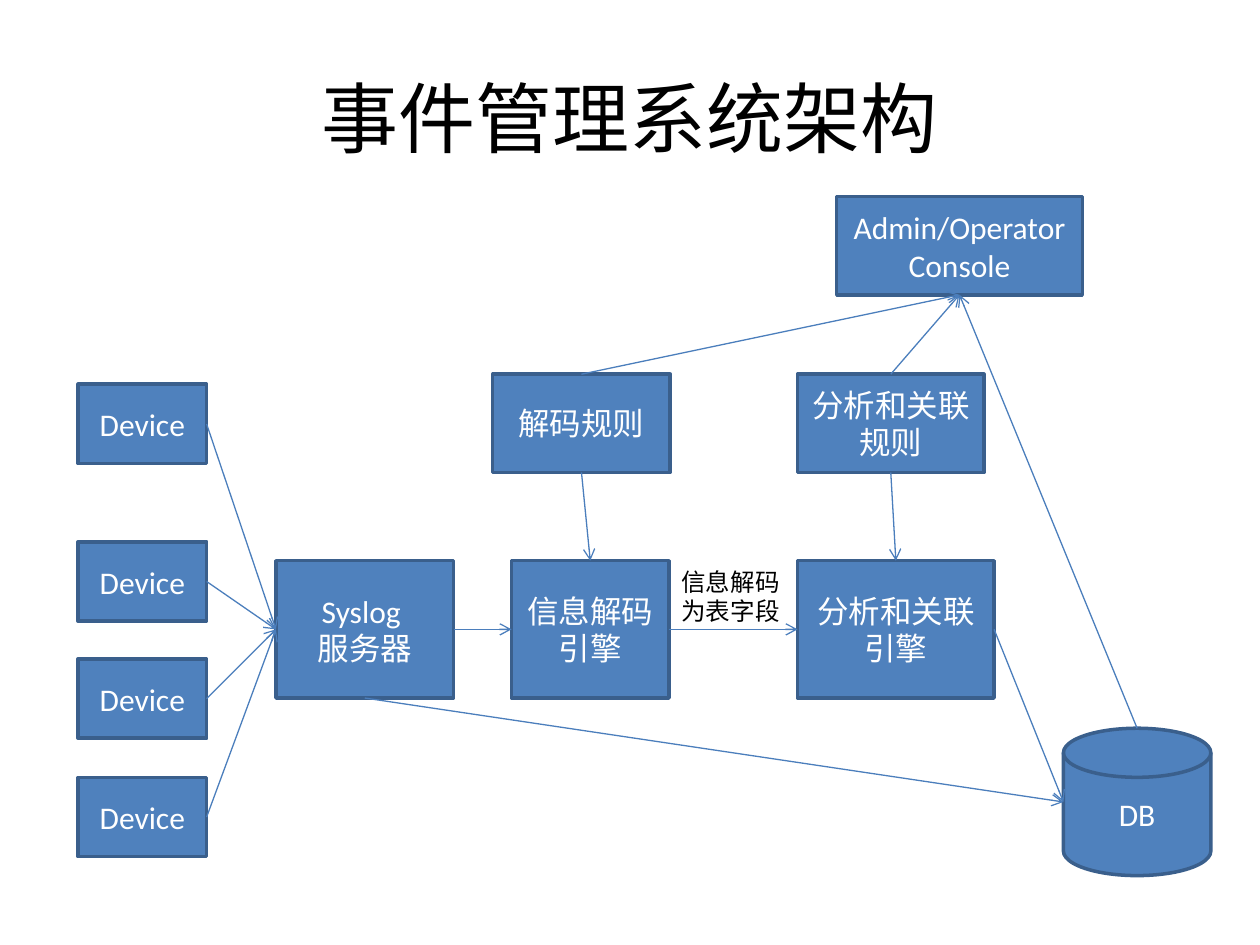
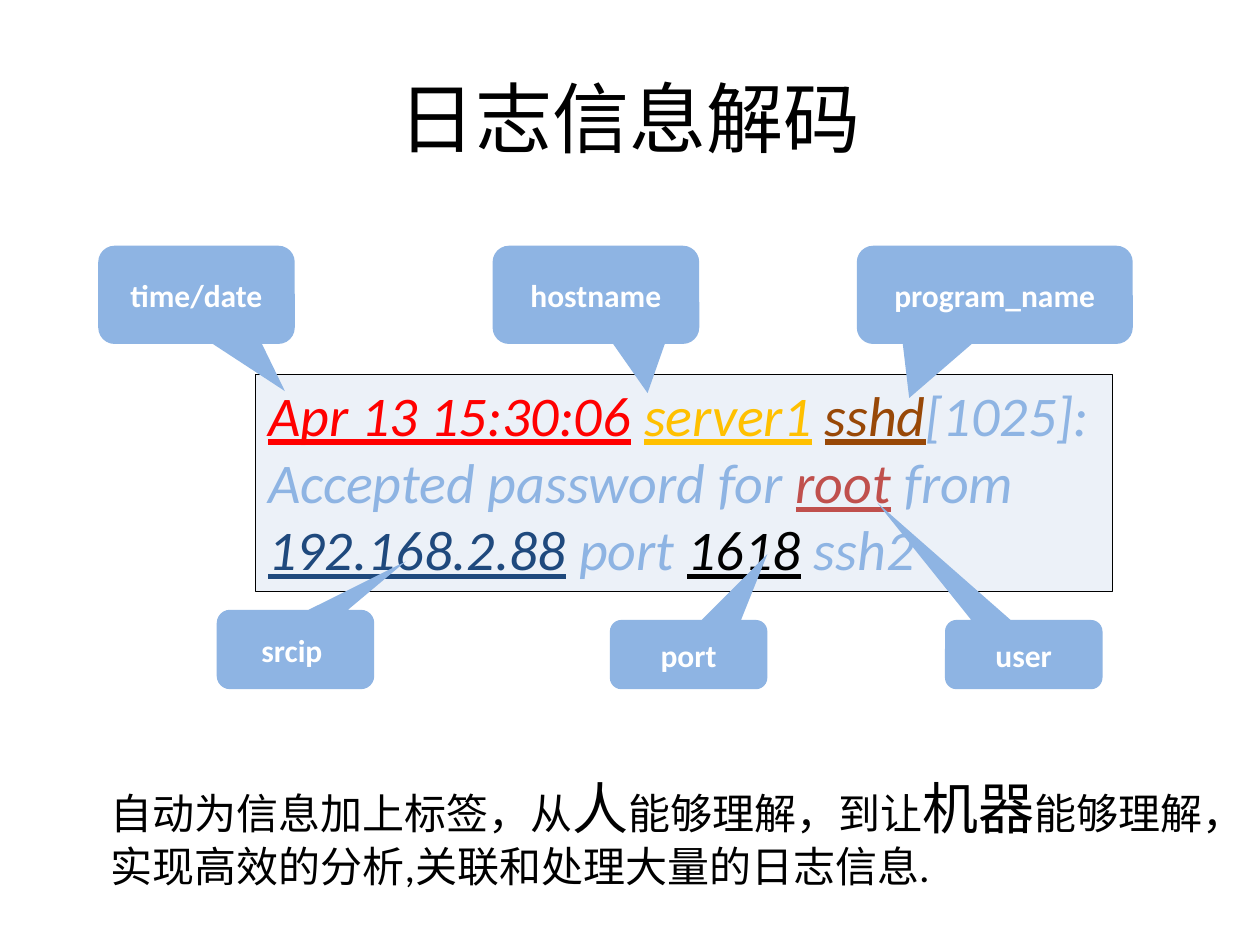
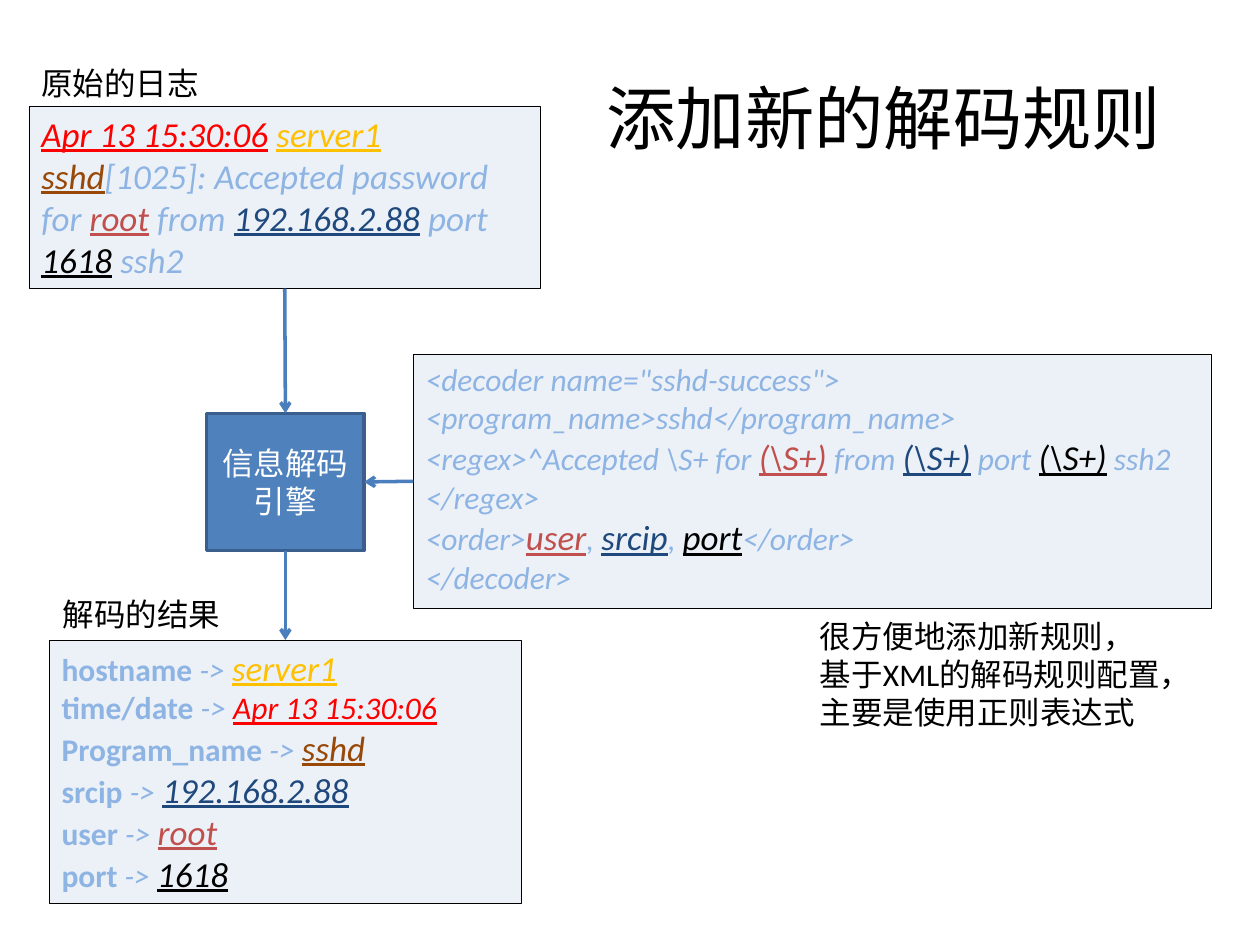
from dataclasses import dataclass, field

from lxml import etree
from pptx import Presentation
from pptx.dml.color import RGBColor
from pptx.enum import shapes, text
from pptx.oxml import ns
from pptx.util import Inches, Pt

KIND = shapes.MSO_SHAPE
ALIGN = text.PP_ALIGN
ANCHOR = text.MSO_ANCHOR
TOP, LEFT, BOTTOM, RIGHT = range(4)


def tag(color):
    return dict(color=color, italic=True, underline=True)


@dataclass
class Theme:
    font: str = "Calibri"
    fill: str = "4F81BD"
    edge: str = "3A5F8C"
    arrow: str = "4B7EBC"
    callout: str = "8EB4E3"
    panel: str = "DCE6F2"
    alpha: int = 53
    ink: str = "000000"
    title: float = 44
    quote: float = 32
    note: float = 24
    token: float = 20
    body: float = 18
    small: float = 14
    styles: dict = field(default_factory=lambda: {
        "plain": dict(color="000000"),
        "box": dict(color="FFFFFF"),
        "bubble": dict(color="FFFFFF", bold=True),
        "key": dict(color="8EB4E3", bold=True),
        "log": dict(color="8EB4E3", italic=True),
        "time": tag("FF0000"),
        "host": tag("FFC000"),
        "prog": tag("984807"),
        "user": tag("C0504D"),
        "ip": tag("1F497D"),
        "port": tag("000000"),
    })


THEME = Theme()

ENTRY = [
    ("Apr 13 15:30:06", "time"), (" ", "log"), ("server1", "host"),
    (" ", "log"), ("sshd", "prog"),
    ("[1025]: Accepted password for ", "log"), ("root", "user"),
    (" from ", "log"), ("192.168.2.88", "ip"), (" port ", "log"),
    ("1618", "port"), (" ssh2", "log"),
]


def write(frame, paras, style, size, align=ALIGN.LEFT):
    """Fill a frame; a paragraph is a string or runs of (text, style[, size])."""
    for i, runs in enumerate(paras):
        para = frame.paragraphs[0] if i == 0 else frame.add_paragraph()
        para.alignment = align
        for run in [(runs, style)] if isinstance(runs, str) else runs:
            words, name, *own = run
            part = para.add_run()
            part.text = words
            look = {"name": THEME.font, "size": Pt(own[0] if own else size)}
            look.update(THEME.styles[name])
            part.font.color.rgb = RGBColor.from_string(look.pop("color"))
            for key, value in look.items():
                setattr(part.font, key, value)


def shape(slide, kind, at, fill, edge=None, width=0):
    item = slide.shapes.add_shape(kind, *map(Inches, at))
    item.shadow.inherit = False
    item.fill.solid()
    item.fill.fore_color.rgb = RGBColor.from_string(fill)
    if edge:
        item.line.color.rgb = RGBColor.from_string(edge)
        item.line.width = Pt(width)
    else:
        item.line.fill.background()
    item.text_frame.word_wrap = True
    return item


def box(slide, at, *paras, kind=KIND.RECTANGLE):
    item = shape(slide, kind, at, THEME.fill, THEME.edge, 2)
    write(item.text_frame, paras, "box", THEME.body, ALIGN.CENTER)
    return item


def bubble(slide, at, tip, words):
    item = shape(slide, KIND.ROUNDED_RECTANGULAR_CALLOUT, at, THEME.callout)
    for i, value in enumerate(tip):
        item.adjustments[i] = value
    write(item.text_frame, [words], "bubble", THEME.body, ALIGN.CENTER)


def panel(slide, at, paras, size):
    """Draw a see-through framed panel of log text."""
    item = shape(slide, KIND.RECTANGLE, at, THEME.panel, THEME.ink, 0.25)
    color = item._element.spPr.find(ns.qn("a:solidFill"))[0]
    etree.SubElement(color, ns.qn("a:alpha"), val=str(THEME.alpha * 1000))
    item.text_frame.vertical_anchor = ANCHOR.TOP
    write(item.text_frame, paras, "log", size)
    return item


def note(slide, at, paras, size=THEME.body, wrap=True):
    frame = slide.shapes.add_textbox(*map(Inches, at)).text_frame
    frame.word_wrap = wrap
    frame.auto_size = text.MSO_AUTO_SIZE.SHAPE_TO_FIT_TEXT
    write(frame, paras, "plain", size)


def title(slide, words, left=0.5, width=9, size=THEME.title):
    at = left, 0.3, width, 1.25
    frame = slide.shapes.add_textbox(*map(Inches, at)).text_frame
    frame.word_wrap = True
    frame.vertical_anchor = ANCHOR.MIDDLE
    write(frame, [words], "plain", size, ALIGN.CENTER)


def spot(item, side):
    """Return the middle of one side of a shape."""
    x, y = [(1, 0), (0, 1), (1, 2), (2, 1)][side]
    return item.left + item.width * x // 2, item.top + item.height * y // 2


def join(slide, start, out, end, into, width=0.75):
    line = slide.shapes.add_connector(
        shapes.MSO_CONNECTOR.STRAIGHT, *spot(start, out), *spot(end, into))
    for glue, item, side in ((line.begin_connect, start, out),
                             (line.end_connect, end, into)):
        if item.auto_shape_type == KIND.RECTANGLE:
            glue(item, side)
    line.line.color.rgb = RGBColor.from_string(THEME.arrow)
    line.line.width = Pt(width)
    frame = line._element.spPr
    etree.SubElement(frame.find(ns.qn("a:ln")), ns.qn("a:tailEnd"), type="arrow")
    etree.SubElement(frame, ns.qn("a:effectLst"))


def system(slide):
    title(slide, "事件管理系统架构")
    devices = [box(slide, (0.62, y, 1.02, 0.63), "Device")
               for y in (3.05, 4.3, 5.23, 6.17)]
    syslog = box(slide, (2.19, 4.45, 1.41, 1.09), "Syslog ", "服务器")
    store = box(slide, (8.44, 5.78, 1.17, 1.17), "DB",
                kind=KIND.FLOWCHART_MAGNETIC_DISK)
    rules = box(slide, (3.91, 2.97, 1.41, 0.78), "解码规则")
    console = box(slide, (6.64, 1.56, 1.95, 0.78), "Admin/Operator Console")
    links = box(slide, (6.33, 2.97, 1.48, 0.78), "分析和关联规则")
    decoder = box(slide, (4.06, 4.45, 1.25, 1.09), "信息解码引擎")
    engine = box(slide, (6.33, 4.45, 1.56, 1.09), "分析和关联引擎")
    for device in devices:
        join(slide, device, RIGHT, syslog, LEFT)
    for start, out, end, into in (
        (syslog, RIGHT, decoder, LEFT),
        (decoder, RIGHT, engine, LEFT),
        (rules, BOTTOM, decoder, TOP),
        (links, BOTTOM, engine, TOP),
        (rules, TOP, console, BOTTOM),
        (links, TOP, console, BOTTOM),
        (store, TOP, console, BOTTOM),
        (syslog, BOTTOM, store, LEFT),
        (engine, RIGHT, store, LEFT),
    ):
        join(slide, start, out, end, into)
    note(slide, (5.31, 4.45, 0.99, 0.57), ["信息解码", "为表字段"],
         THEME.small, wrap=False)


def decoding(slide):
    title(slide, "日志信息解码")
    panel(slide, (2.03, 2.97, 6.8, 1.72), [ENTRY], THEME.quote)
    for at, tip, words in (
        ((0.78, 1.95, 1.56, 0.78), (0.45, 0.98), "time/date"),
        ((3.91, 1.95, 1.64, 0.78), (0.25, 1), "hostname"),
        ((6.8, 1.95, 2.19, 0.78), (-0.31, 1.05), "program_name"),
        ((7.5, 4.92, 1.25, 0.55), (-0.93, -2.19), "user"),
        ((1.72, 4.84, 1.25, 0.63), (0.7, -1.11), "srcip "),
        ((4.84, 4.92, 1.25, 0.55), (0.5, -1.45), "port"),
    ):
        bubble(slide, at, tip, words)
    big = THEME.quote
    note(slide, (0.78, 6.09, 9.29, 1.04), [
        [("自动为信息加上标签，从", "plain"), ("人", "plain", big),
         ("能够理解，到让", "plain"), ("机器", "plain", big),
         ("能够理解，", "plain")],
        "实现高效的分析,关联和处理大量的日志信息.",
    ], THEME.note, wrap=False)


def adding(slide):
    size = THEME.token
    title(slide, "添加新的解码规则", 4.53, 4.97, THEME.title * 0.9)
    entry = panel(slide, (0.23, 0.84, 4.06, 1.45), [ENTRY], size)
    group = r"(\S+)"
    rule = panel(slide, (3.28, 2.81, 6.33, 2.02), [
        '<decoder name="sshd-success">',
        "<program_name>sshd</program_name>",
        [(r"<regex>^Accepted \S+ for ", "log"), (group, "user", size),
         (" from ", "log"), (group, "ip", size), (" port ", "log"),
         (group, "port", size), (" ssh2 </regex>", "log")],
        [("<order>", "log"), ("user", "user", size), (", ", "log"),
         ("srcip", "ip", size), (", ", "log"), ("port", "port", size),
         ("</order>", "log")],
        "</decoder>",
    ], THEME.body)
    found = (("hostname", "server1", "host", size),
             ("time/date", "Apr 13 15:30:06", "time", THEME.body),
             ("Program_name", "sshd", "prog", size),
             ("srcip", "192.168.2.88", "ip", size),
             ("user", "root", "user", size),
             ("port", "1618", "port", size))
    result = panel(slide, (0.39, 5.08, 3.75, 2.09),
                   [[(key, "key"), (" -> ", "log"), value]
                    for key, *value in found], THEME.body)
    engine = box(slide, (1.64, 3.28, 1.25, 1.09), "信息解码引擎")
    join(slide, entry, BOTTOM, engine, TOP, 2)
    join(slide, rule, LEFT, engine, RIGHT, 2)
    join(slide, engine, BOTTOM, result, TOP, 2)
    note(slide, (6.41, 4.85, 3.2, 1.01),
         ["很方便地添加新规则，", "基于XML的解码规则配置，主要是使用正则表达式"])
    note(slide, (0.23, 0.46, 1.64, 0.4), ["原始的日志"])
    note(slide, (0.4, 4.67, 1.64, 0.4), ["解码的结果"])


def main():
    deck = Presentation()
    deck.slide_width, deck.slide_height = Inches(10), Inches(7.5)
    for draw in (system, decoding, adding):
        draw(deck.slides.add_slide(deck.slide_layouts[6]))
    deck.save("out.pptx")


if __name__ == "__main__":
    main()
